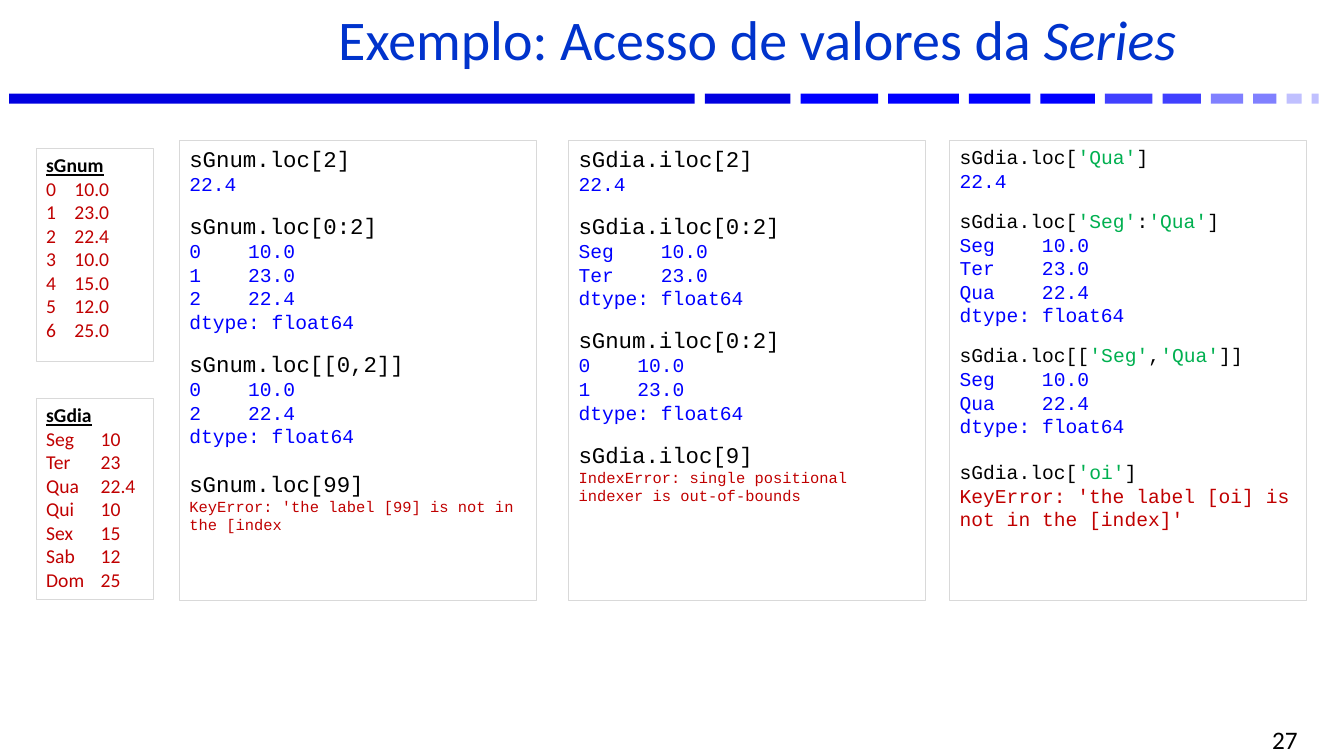
from dataclasses import dataclass

from lxml import etree
from pptx import Presentation
from pptx import util as u
from pptx.dml import color
from pptx.enum import shapes, text
from pptx.oxml import ns

BLACK, BLUE, RED, GREEN = "000000", "0000FF", "C00000", "00B050"
COMMAND, OUTPUT, ERROR, HEADING, ENTRY = range(5)


@dataclass
class Segment:
    width: float
    fill: str


@dataclass
class Line:
    kind: int
    content: str
    before: float = 0


@dataclass
class Panel:
    left: float
    top: float
    width: float
    height: float
    formats: dict
    lines: list
    value_stop: float = 0


def rgb(value: str):
    return color.RGBColor.from_string(value)


def font_format(name: str, size: float, **extra) -> dict:
    return {"name": name, "size": u.Pt(size), **extra}


def add_run(paragraph, content: str, fill: str, values: dict) -> None:
    run = paragraph.add_run()
    run.text = content
    run.font.color.rgb = rgb(fill)
    for attribute, value in values.items():
        setattr(run.font, attribute, value)


def add_tab_stop(paragraph, position: float) -> None:
    properties = paragraph._p.get_or_add_pPr()
    stops = etree.SubElement(properties, ns.qn("a:tabLst"))
    etree.SubElement(stops, ns.qn("a:tab"), pos=str(u.Inches(position)), algn="l")


def add_label(slide, left: float, top: float, width: float, height: float, alignment):
    box = slide.shapes.add_textbox(*map(u.Inches, (left, top, width, height)))
    box.text_frame.word_wrap = True
    box.text_frame.vertical_anchor = text.MSO_ANCHOR.MIDDLE
    paragraph = box.text_frame.paragraphs[0]
    paragraph.alignment = alignment
    return paragraph


def add_rectangle(slide, left: float, top: float, width: float, height: float):
    shape = slide.shapes.add_shape(
        shapes.MSO_SHAPE.RECTANGLE, *map(u.Inches, (left, top, width, height)))
    shape.shadow.inherit = False
    return shape


def add_segments(slide, segments: list) -> None:
    left, gap = 0.09, 0.1
    for segment in segments:
        shape = add_rectangle(slide, left, 0.93, segment.width, 0.1)
        shape.fill.solid()
        shape.fill.fore_color.rgb = rgb(segment.fill)
        shape.line.fill.background()
        left += segment.width + gap


def add_line(paragraph, line: Line, panel: Panel) -> None:
    values = panel.formats[line.kind]
    paragraph.alignment = text.PP_ALIGN.LEFT
    if line.before:
        paragraph.space_before = u.Pt(line.before)
    if "\t" in line.content:
        key = line.content.split("\t")[0]
        character_width = 0.6 * 14 / 72
        add_tab_stop(paragraph, panel.value_stop or (len(key) + 4) * character_width)
    if line.kind == COMMAND:
        for index, part in enumerate(line.content.split("'")):
            quoted = index % 2 == 1
            add_run(paragraph, f"'{part}'" if quoted else part,
                    GREEN if quoted else BLACK, values)
    else:
        fills = {OUTPUT: BLUE, ERROR: RED, HEADING: BLACK, ENTRY: RED}
        add_run(paragraph, line.content, fills[line.kind], values)


def add_panel(slide, panel: Panel) -> None:
    shape = add_rectangle(slide, panel.left, panel.top, panel.width, panel.height)
    shape.fill.background()
    shape.line.color.rgb = rgb("D9D9D9")
    shape.line.width = u.Pt(0.75)
    frame = shape.text_frame
    frame.word_wrap = True
    frame.vertical_anchor = text.MSO_ANCHOR.TOP
    for index, line in enumerate(panel.lines):
        paragraph = frame.add_paragraph() if index else frame.paragraphs[0]
        add_line(paragraph, line, panel)


def example(command: str, *outputs: str, before: float = 12) -> list:
    return [Line(COMMAND, command, before)] + [Line(OUTPUT, item) for item in outputs]


def failure(command: str, message: str, before: float = 12) -> list:
    return [Line(COMMAND, command, before), Line(ERROR, message)]


def code_panel(left: float, command_size: float, error_size: float, lines: list) -> Panel:
    sizes = {COMMAND: command_size, OUTPUT: 14, ERROR: error_size}
    formats = {kind: font_format("Courier New", size) for kind, size in sizes.items()}
    return Panel(left, 1.39, 3.54, 4.57, formats, lines)


def series_panel(top: float, height: float, name: str, keys: list, values: list,
                 value_stop: float) -> Panel:
    formats = {HEADING: font_format("Calibri", 14, bold=True, underline=True),
               ENTRY: font_format("Calibri", 14)}
    entries = [Line(ENTRY, f"{key}\t{value}") for key, value in zip(keys, values)]
    return Panel(0.36, top, 1.16, height, formats, [Line(HEADING, name)] + entries, value_stop)


SEGMENTS = [
    Segment(6.8, "0000E0"), Segment(0.85, "0000E0"),
    Segment(0.77, BLUE), Segment(0.7, BLUE), Segment(0.61, BLUE), Segment(0.54, BLUE),
    Segment(0.47, "4040FF"), Segment(0.38, "4040FF"),
    Segment(0.32, "8080FF"), Segment(0.23, "8080FF"),
    Segment(0.15, "C0C0FF"), Segment(0.07, "C0C0FF"),
]
DTYPE = "dtype: float64"
PANELS = [
    code_panel(1.78, 16, 11, [
        *example("sGnum.loc[2]", "22.4", before=0),
        *example("sGnum.loc[0:2]", "0\t10.0", "1\t23.0", "2\t22.4", DTYPE),
        *example("sGnum.loc[[0,2]]", "0\t10.0", "2\t22.4", DTYPE),
        *failure("sGnum.loc[99]", "KeyError: 'the label [99] is not in the [index", 16),
    ]),
    code_panel(5.64, 16, 11, [
        *example("sGdia.iloc[2]", "22.4", before=0),
        *example("sGdia.iloc[0:2]", "Seg\t10.0", "Ter\t23.0", DTYPE),
        *example("sGnum.iloc[0:2]", "0\t10.0", "1\t23.0", DTYPE),
        *failure("sGdia.iloc[9]", "IndexError: single positional indexer is out-of-bounds"),
    ]),
    code_panel(9.42, 14, 14, [
        *example("sGdia.loc['Qua']", "22.4", before=0),
        *example("sGdia.loc['Seg':'Qua']", "Seg\t10.0", "Ter\t23.0", "Qua\t22.4", DTYPE),
        *example("sGdia.loc[['Seg','Qua']]", "Seg\t10.0", "Qua\t22.4", DTYPE),
        *failure("sGdia.loc['oi']", "KeyError: 'the label [oi] is not in the [index]'", 16),
    ]),
    series_panel(3.95, 2, "sGdia", ["Seg", "Ter", "Qua", "Qui", "Sex", "Sab", "Dom"],
                 ["10", "23", "22.4", "10", "15", "12", "25"], 0.54),
    series_panel(1.47, 2.12, "sGnum", list(range(7)),
                 ["10.0", "23.0", "22.4", "10.0", "15.0", "12.0", "25.0"], 0.28),
]


def main() -> None:
    presentation = Presentation()
    presentation.slide_width = u.Inches(13.33)
    presentation.slide_height = u.Inches(7.5)
    slide = presentation.slides.add_slide(presentation.slide_layouts[6])
    add_segments(slide, SEGMENTS)
    title = add_label(slide, 1.94, 0.06, 11.14, 0.77, text.PP_ALIGN.CENTER)
    title.line_spacing = 0.8
    add_run(title, "Exemplo: Acesso de valores da ", "0033CC", font_format("Calibri", 40))
    add_run(title, "Series", "0033CC", font_format("Calibri", 40, italic=True))
    for panel in PANELS:
        add_panel(slide, panel)
    number = add_label(slide, 9.86, 7.23, 3.11, 0.22, text.PP_ALIGN.RIGHT)
    add_run(number, "27", BLACK, font_format("Calibri", 18))
    presentation.save("out.pptx")


if __name__ == "__main__":
    main()
